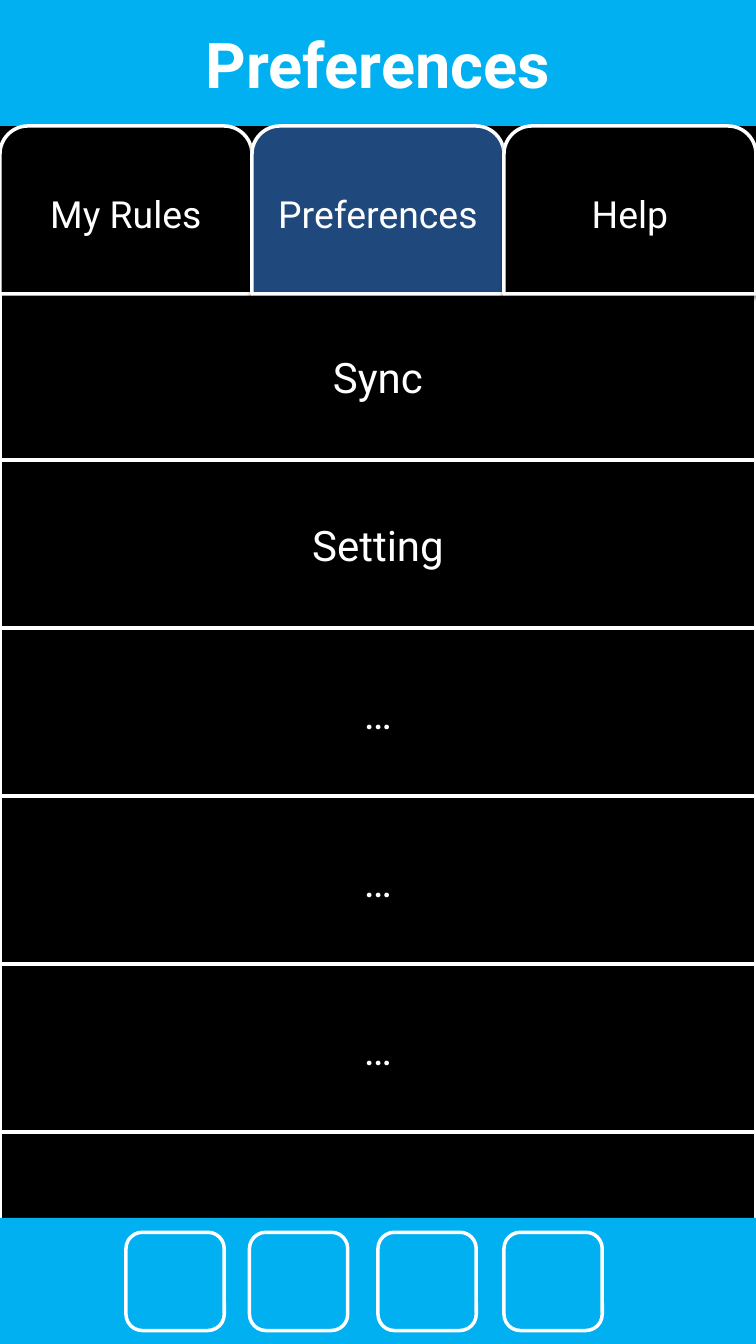
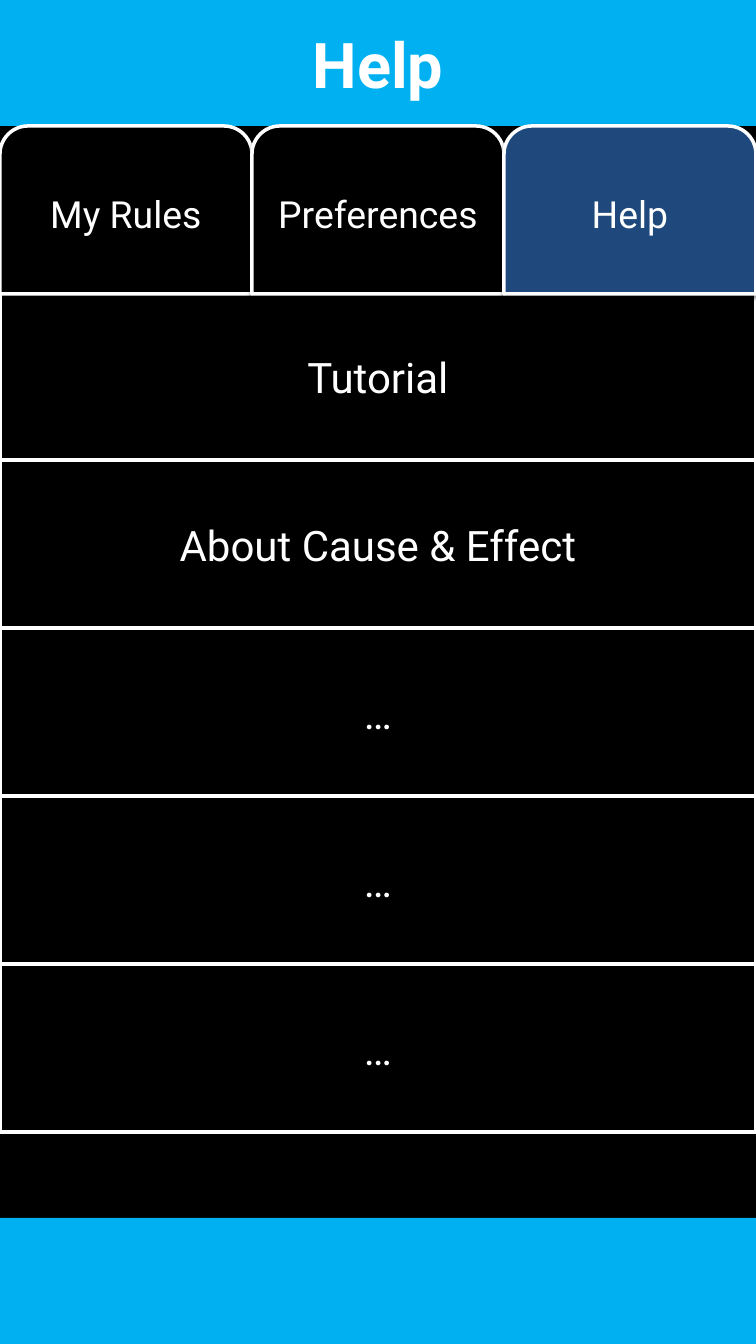
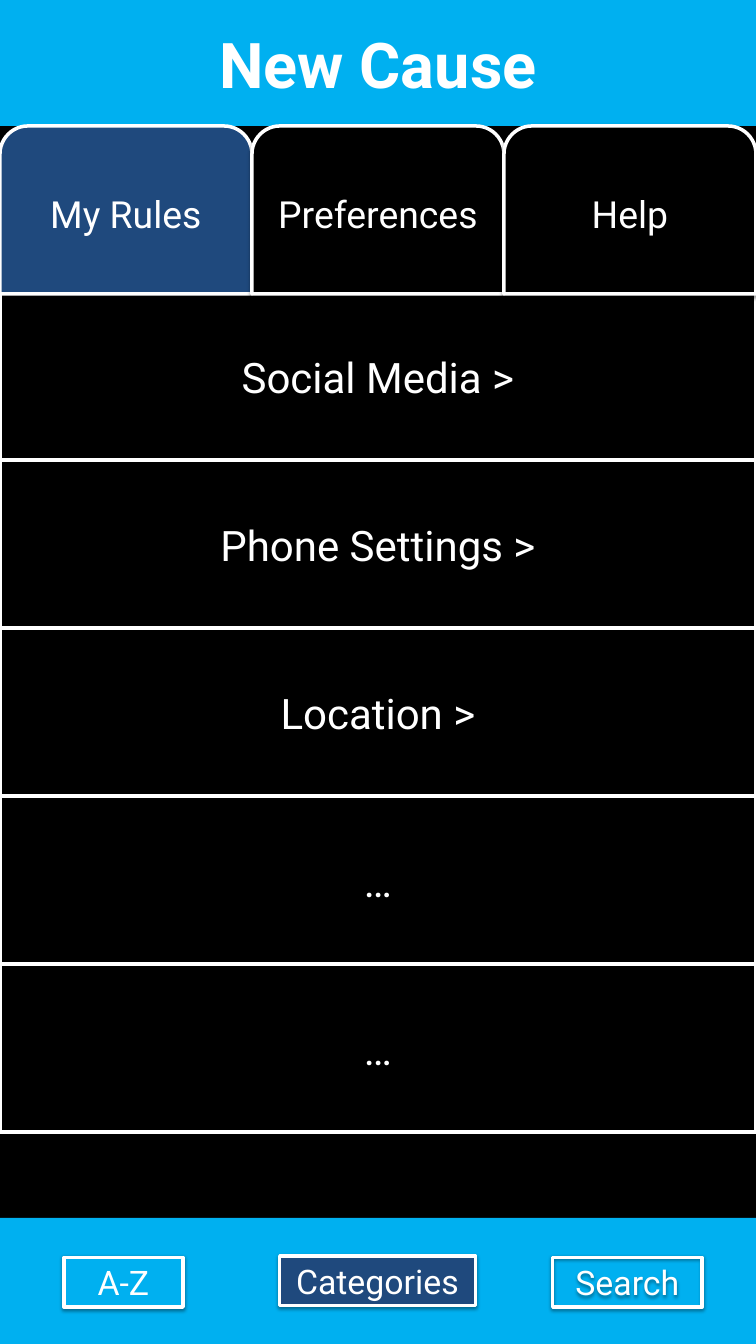
"""Build three screens of a phone app mock-up: preferences, help and new cause."""
from lxml import etree
from pptx import Presentation
from pptx.dml.color import RGBColor
from pptx.enum.shapes import MSO_SHAPE
from pptx.enum.text import MSO_ANCHOR, MSO_AUTO_SIZE, PP_ALIGN
from pptx.oxml.ns import qn
from pptx.util import Inches, Pt

RECTANGLE = MSO_SHAPE.RECTANGLE
ROUNDED = MSO_SHAPE.ROUNDED_RECTANGLE
TAB = MSO_SHAPE.ROUND_2_SAME_RECTANGLE
MIDDLE = MSO_ANCHOR.MIDDLE
CENTER = PP_ALIGN.CENTER
FIXED_SIZE = MSO_AUTO_SIZE.NONE

FONT = "Roboto"
COLORS = {"screen": "000000", "band": "00B0F0", "active": "1F497D", "white": "FFFFFF"}
RGB = {name: RGBColor.from_string(value) for name, value in COLORS.items()}

SCREEN_WIDTH, SCREEN_HEIGHT = 9, 16
BAND_HEIGHT = 1.5
TAB_WIDTH, TAB_HEIGHT = 3, 2
ROW_TOP, ROW_HEIGHT = 3.48, 2
BAND_TOP = SCREEN_HEIGHT - BAND_HEIGHT
ICON_SIZE, ICON_TOP = 1.17, 14.67
BUTTON_HEIGHT = 0.59

TABS = ["My Rules", "Preferences", "Help"]
SCREENS = [
    {"title": "Preferences", "active": "Preferences",
     "rows": ["Sync", "Setting", "…", "…", "…", ""],
     "icons": [1.5, 2.97, 4.5, 6], "buttons": []},
    {"title": "Help", "active": "Help",
     "rows": ["Tutorial", "About Cause & Effect", "…", "…", "…"],
     "icons": [], "buttons": []},
    {"title": "New Cause", "active": "My Rules",
     "rows": ["Social Media >", "Phone Settings >", "Location >", "…", "…"],
     "icons": [],
     "buttons": [("A-Z", 0.76, 14.97, 1.42, "band"),
                 ("Categories", 3.33, 14.95, 2.33, "active"),
                 ("Search", 6.58, 14.97, 1.78, None)]},
]


def write_label(shape, label, size, bold=False):
    """Write one centred white line into a shape."""
    frame = shape.text_frame
    frame.text = label
    frame.vertical_anchor = MIDDLE
    frame.auto_size = FIXED_SIZE
    paragraph = frame.paragraphs[0]
    paragraph.alignment = CENTER
    paragraph.font.name = FONT
    paragraph.font.size = Pt(size)
    paragraph.font.bold = bold
    paragraph.font.color.rgb = RGB["white"]


def add_panel(page, kind, left, top, width, height, fill, outlined=True, shadow=False):
    """Add a panel with an optional white outline and soft drop shadow."""
    panel = page.shapes.add_shape(kind, Inches(left), Inches(top), Inches(width), Inches(height))
    panel.shadow.inherit = False
    if fill:
        panel.fill.solid()
        panel.fill.fore_color.rgb = RGB[fill]
    else:
        panel.fill.background()
    if outlined:
        panel.line.color.rgb = RGB["white"]
        panel.line.width = Pt(3)
    else:
        panel.line.fill.background()
    if shadow:
        effects = panel.element.spPr.find(qn("a:effectLst"))
        outer = etree.SubElement(effects, qn("a:outerShdw"), blurRad=str(Pt(3.1)),
                                 dist=str(Pt(1.6)), dir="5400000", rotWithShape="0")
        color = etree.SubElement(outer, qn("a:srgbClr"), val=COLORS["screen"])
        etree.SubElement(color, qn("a:alpha"), val="38000")
    return panel


deck = Presentation()
deck.slide_width = Inches(SCREEN_WIDTH)
deck.slide_height = Inches(SCREEN_HEIGHT)
backdrop = deck.slide_master.background.fill
backdrop.solid()
backdrop.fore_color.rgb = RGB["screen"]
title_only = deck.slide_layouts[5]

for screen in SCREENS:
    page = deck.slides.add_slide(title_only)

    title = page.shapes.title
    title.left, title.top = Inches(0), Inches(0)
    title.width, title.height = Inches(SCREEN_WIDTH), Inches(BAND_HEIGHT)
    title.fill.solid()
    title.fill.fore_color.rgb = RGB["band"]
    write_label(title, screen["title"], 54, bold=True)

    for index, label in enumerate(screen["rows"]):
        row = add_panel(page, RECTANGLE, 0, ROW_TOP + index * ROW_HEIGHT,
                        SCREEN_WIDTH, ROW_HEIGHT, "screen")
        if label:
            write_label(row, label, 36)

    for index, label in enumerate(TABS):
        fill = "active" if label == screen["active"] else "screen"
        tab = add_panel(page, TAB, index * TAB_WIDTH, BAND_HEIGHT, TAB_WIDTH, TAB_HEIGHT,
                        fill, shadow=index > 0)
        write_label(tab, label, 32)

    add_panel(page, RECTANGLE, 0, BAND_TOP, SCREEN_WIDTH, BAND_HEIGHT, "band", outlined=False)

    for left in screen["icons"]:
        add_panel(page, ROUNDED, left, ICON_TOP, ICON_SIZE, ICON_SIZE, "band")

    for label, left, top, width, fill in screen["buttons"]:
        button = add_panel(page, RECTANGLE, left, top, width, BUTTON_HEIGHT, fill, shadow=True)
        write_label(button, label, 29)

deck.save("out.pptx")
